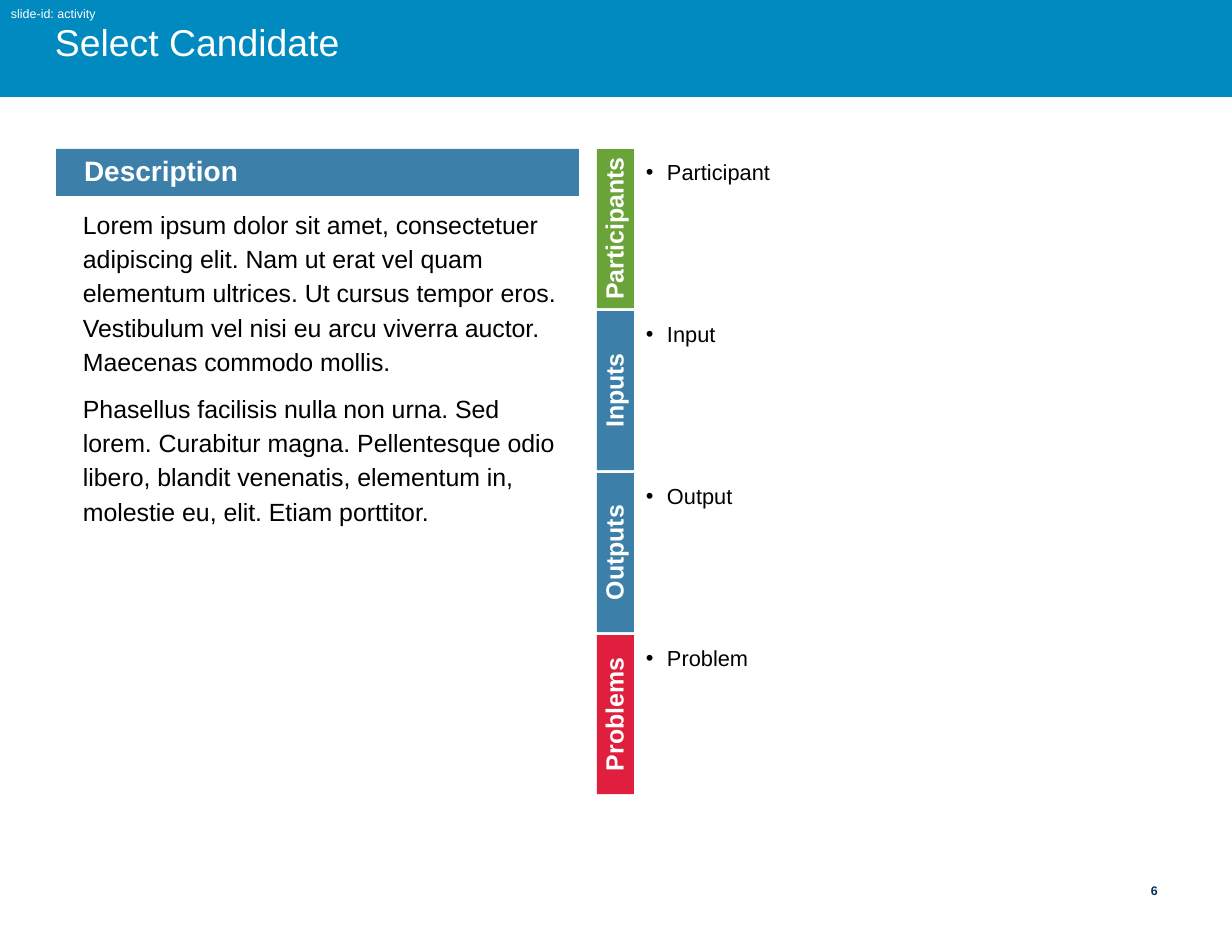
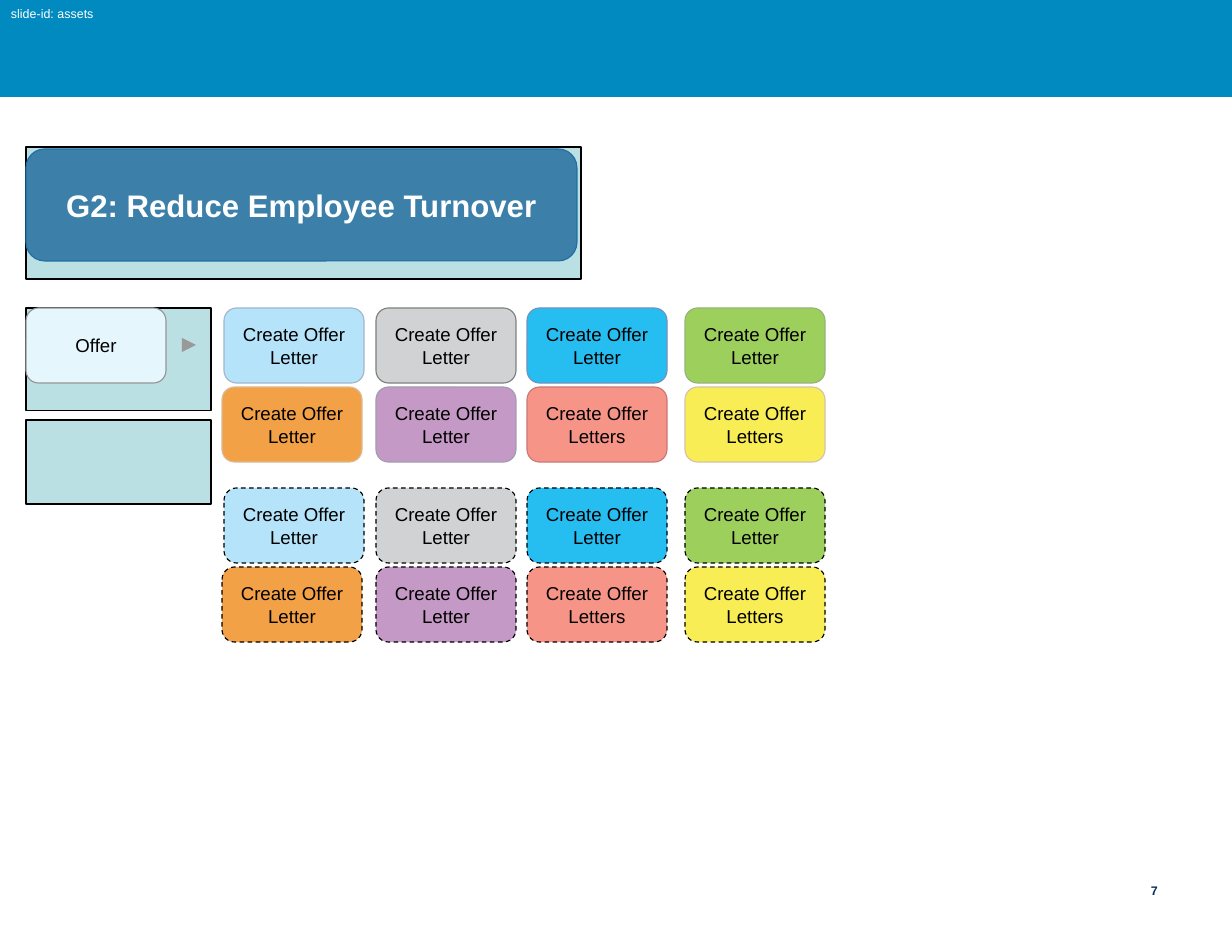
import dataclasses
import itertools
import typing

import lxml.etree
import pptx
import pptx.dml.color
import pptx.enum.dml
import pptx.enum.shapes
import pptx.enum.text
import pptx.oxml.ns
import pptx.shapes.autoshape
import pptx.slide
import pptx.util

PX_PER_INCH = 112
FONT = "Arial"
COLORS = {
    "band": "008ABF",
    "page": "00305C",
    "white": "FFFFFF",
    "black": "000000",
    "steel": "3C80AA",
    "steel edge": "216EA3",
    "leaf": "6AA337",
    "crimson": "E01E3E",
    "panel": "BBE0E3",
    "ice": "E6F6FD",
    "ice edge": "969696",
    "arrow": "999999",
    "sky": "B5E3F9",
    "sky edge": "A4B6CC",
    "gray": "D0D2D3",
    "gray edge": "808080",
    "azure": "26BDF1",
    "azure edge": "7492BE",
    "green": "9DCF5C",
    "green edge": "96B478",
    "orange": "F3A147",
    "orange edge": "D8BD98",
    "purple": "C599C5",
    "purple edge": "A39BB3",
    "coral": "F69587",
    "coral edge": "CA7878",
    "yellow": "F8ED54",
    "yellow edge": "D7C3A5",
}
PRESET = pptx.enum.shapes.MSO_SHAPE
ALIGN = pptx.enum.text.PP_ALIGN
ANCHOR = pptx.enum.text.MSO_ANCHOR
DESCRIPTION = (
    "Lorem ipsum dolor sit amet, consectetuer adipiscing elit. Nam ut erat vel quam "
    "elementum ultrices. Ut cursus tempor eros. Vestibulum vel nisi eu arcu viverra "
    "auctor. Maecenas commodo mollis.\n"
    "Phasellus facilisis nulla non urna. Sed lorem. Curabitur magna. Pellentesque odio "
    "libero, blandit venenatis, elementum in, molestie eu, elit. Etiam porttitor."
)


class Box(typing.NamedTuple):
    left: int
    top: int
    width: int
    height: int


@dataclasses.dataclass(frozen=True)
class Section:
    heading: str
    entry: str
    color: str


@dataclasses.dataclass(frozen=True)
class Activity:
    label: str
    color: str
    left: int


SECTIONS = [
    Section("Participants", "Participant", "leaf"),
    Section("Inputs", "Input", "steel"),
    Section("Outputs", "Output", "steel"),
    Section("Problems", "Problem", "crimson"),
]
ACTIVITY_ROWS = [
    [
        Activity("Create Offer Letter", "sky", 224),
        Activity("Create Offer Letter", "gray", 376),
        Activity("Create Offer Letter", "azure", 527),
        Activity("Create Offer Letter", "green", 685),
    ],
    [
        Activity("Create Offer Letter", "orange", 222),
        Activity("Create Offer Letter", "purple", 376),
        Activity("Create Offer Letters", "coral", 527),
        Activity("Create Offer Letters", "yellow", 685),
    ],
]


def px(length: int) -> pptx.util.Emu:
    return pptx.util.Emu(round(length * 914400 / PX_PER_INCH))


def rgb(color: str) -> pptx.dml.color.RGBColor:
    return pptx.dml.color.RGBColor.from_string(COLORS[color])


def add_bullet(paragraph, indent: int) -> None:
    properties = paragraph._p.get_or_add_pPr()
    properties.set("marL", str(px(indent)))
    properties.set("indent", str(-px(indent)))
    qn = pptx.oxml.ns.qn
    bullet_color = lxml.etree.SubElement(properties, qn("a:buClr"))
    lxml.etree.SubElement(bullet_color, qn("a:srgbClr"), val=COLORS["black"])
    lxml.etree.SubElement(properties, qn("a:buFont"), typeface=FONT)
    lxml.etree.SubElement(properties, qn("a:buChar"), char="•")


def write(shape, text: str, *, size: int, color: str = "black", bold: bool = False,
          align=ALIGN.LEFT, anchor=ANCHOR.TOP, insets=(11, 6, 11, 6),
          line_spacing: float = 1.0, before: float = 0, after: float = 0,
          bullet_indent: int = 0) -> None:
    frame = shape.text_frame
    frame.text = text
    frame.word_wrap = True
    frame.auto_size = pptx.enum.text.MSO_AUTO_SIZE.NONE
    frame.vertical_anchor = anchor
    frame.margin_left, frame.margin_top, frame.margin_right, frame.margin_bottom = map(px, insets)
    for paragraph in frame.paragraphs:
        paragraph.alignment = align
        paragraph.line_spacing = line_spacing
        paragraph.space_before = pptx.util.Pt(before)
        paragraph.space_after = pptx.util.Pt(after)
        if bullet_indent:
            add_bullet(paragraph, bullet_indent)
        for run in paragraph.runs:
            run.font.name = FONT
            run.font.size = pptx.util.Pt(size)
            run.font.bold = bold
            run.font.color.rgb = rgb(color)


def place(shape, box: Box) -> None:
    shape.left, shape.top, shape.width, shape.height = map(px, box)


def add_text(slide: pptx.slide.Slide, box: Box, text: str, **text_format) -> None:
    write(slide.shapes.add_textbox(*map(px, box)), text, **text_format)


def draw(slide: pptx.slide.Slide, box: Box, fill: str, *, preset=PRESET.RECTANGLE,
         edge: str = "", dashed: bool = False,
         rotation: int = 0) -> pptx.shapes.autoshape.Shape:
    shape = slide.shapes.add_shape(preset, *map(px, box))
    shape.shadow.inherit = False
    shape.rotation = rotation
    shape.fill.solid()
    shape.fill.fore_color.rgb = rgb(fill)
    if edge:
        shape.line.color.rgb = rgb(edge)
        shape.line.width = pptx.util.Pt(0.75)
        if dashed:
            shape.line.dash_style = pptx.enum.dml.MSO_LINE.DASH
    else:
        shape.line.fill.background()
    return shape


def draw_card(slide: pptx.slide.Slide, box: Box, label: str, fill: str, edge: str, *,
              dashed: bool = False, **text_format) -> None:
    card = draw(slide, box, fill, preset=PRESET.ROUNDED_RECTANGLE, edge=edge, dashed=dashed)
    write(card, label, align=ALIGN.CENTER, anchor=ANCHOR.MIDDLE, **text_format)


def add_marks(slide: pptx.slide.Slide, slide_id: str, page: int) -> None:
    add_text(slide, Box(1139, 876, 85, 28), str(page), size=8, color="page", bold=True,
             insets=(12, 7, 12, 7))
    add_text(slide, Box(0, 0, 131, 27), f"slide-id: {slide_id}", size=8, color="white")


def add_master_band(deck, slide: pptx.slide.Slide) -> None:
    band = draw(slide, Box(0, 0, 1232, 97), "band")
    deck.slide_master.shapes.element.insert(2, band.element)


def build_activity(slide: pptx.slide.Slide) -> None:
    place(slide.shapes.title, Box(43, 0, 900, 84))
    write(slide.shapes.title, "Select Candidate", size=24, color="white",
          anchor=ANCHOR.MIDDLE, insets=(12, 7, 12, 7))
    heading = draw(slide, Box(56, 149, 523, 47), "steel")
    write(heading, "Description", size=18, color="white", bold=True, anchor=ANCHOR.MIDDLE,
          insets=(28, 17, 22, 17), line_spacing=0.85, before=5.6, after=5.6)
    add_text(slide, Box(83, 205, 477, 629), DESCRIPTION, size=16, insets=(0, 0, 0, 0),
             line_spacing=1.15, before=8)
    entries = [holder for holder in slide.placeholders if holder.placeholder_format.idx]
    for row, (section, entry) in enumerate(zip(SECTIONS, entries)):
        top = 148 + row * 162
        tab = draw(slide, Box(536, top + 62, 159, 37), section.color, rotation=270)
        write(tab, section.heading, size=16, color="white", bold=True, align=ALIGN.CENTER,
              anchor=ANCHOR.MIDDLE, insets=(0, 3, 0, 0), line_spacing=0.75)
        place(entry, Box(635, top, 495, 162))
        write(entry, section.entry, size=14, insets=(11, 11, 11, 11), bullet_indent=21)


def build_assets(slide: pptx.slide.Slide) -> None:
    draw(slide, Box(26, 308, 185, 103), "panel", edge="black")
    draw_card(slide, Box(26, 308, 140, 75), "Offer", "ice", "ice edge", size=12)
    draw(slide, Box(182, 338, 14, 14), "arrow", preset=PRESET.ISOSCELES_TRIANGLE, rotation=90)
    for dashed, (row, activities) in itertools.product((False, True), enumerate(ACTIVITY_ROWS)):
        top = 308 + 180 * dashed + 79 * row
        for activity in activities:
            edge = "black" if dashed else f"{activity.color} edge"
            draw_card(slide, Box(activity.left, top, 140, 75), activity.label,
                      activity.color, edge, dashed=dashed, size=12)
    draw(slide, Box(26, 420, 185, 84), "panel", edge="black")
    draw(slide, Box(26, 147, 555, 132), "panel", edge="black")
    draw_card(slide, Box(26, 149, 551, 112), "G2: Reduce Employee Turnover", "steel",
              "steel edge", size=20, color="white", bold=True)


def main() -> None:
    deck = pptx.Presentation()
    deck.slide_width, deck.slide_height = px(1232), px(952)
    comparison, blank = deck.slide_layouts[4], deck.slide_layouts[6]
    activity = deck.slides.add_slide(comparison)
    add_master_band(deck, activity)
    build_activity(activity)
    add_marks(activity, "activity", 6)
    assets = deck.slides.add_slide(blank)
    build_assets(assets)
    add_marks(assets, "assets", 7)
    deck.save("out.pptx")


if __name__ == "__main__":
    main()
